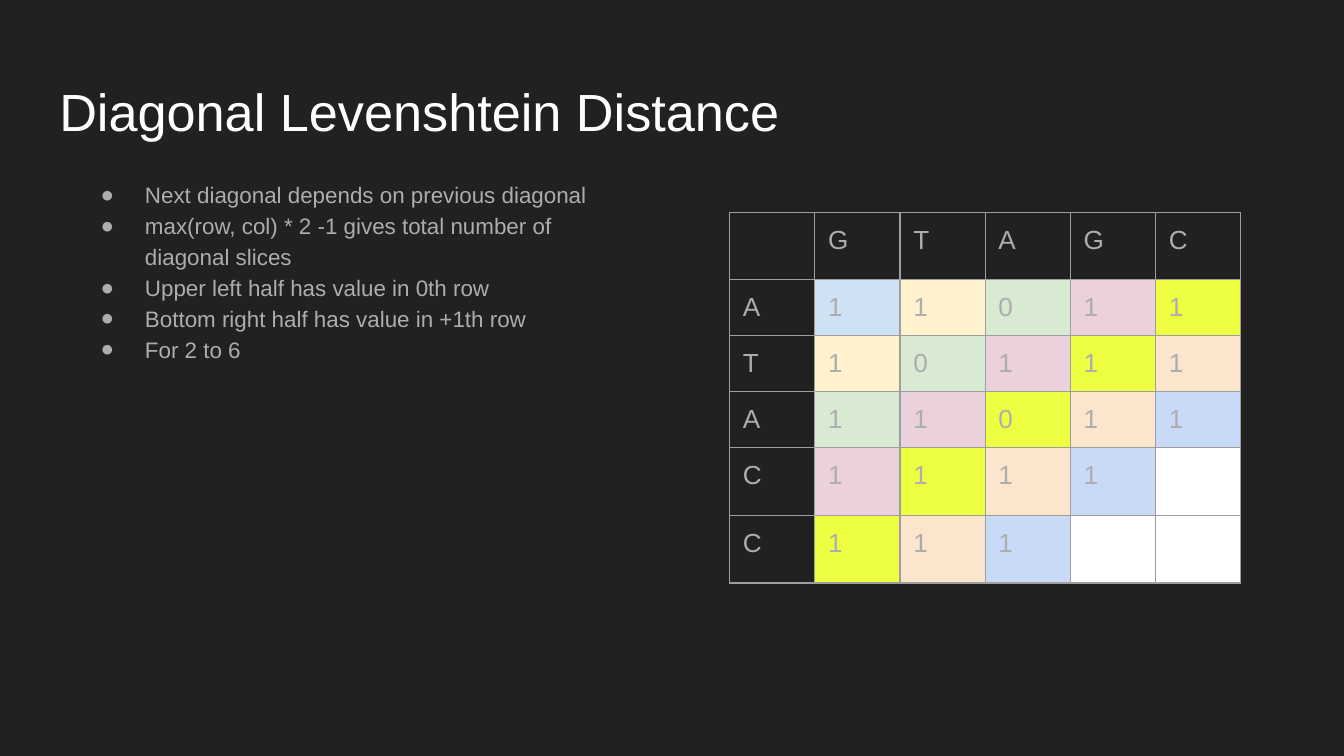
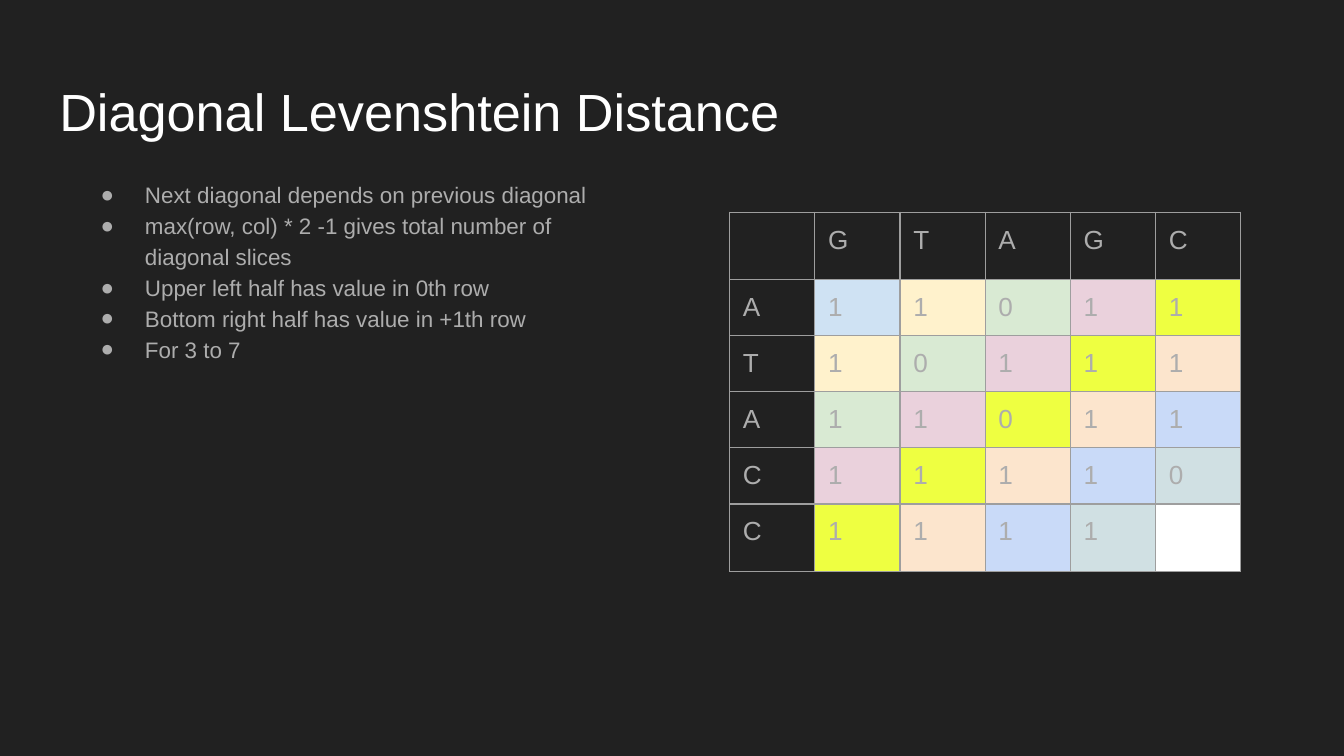
from lxml.etree import SubElement
from pptx import Presentation
from pptx.dml.color import RGBColor
from pptx.enum.text import MSO_ANCHOR, MSO_AUTO_SIZE, PP_ALIGN
from pptx.oxml.ns import qn
from pptx.util import Cm, Pt

COLORS = {
    "bg": "212121",
    "title": "FFFFFF",
    "text": "ADADAD",
    "border": "9E9E9E",
    "blank": "FFFFFF",
}
# One fill for each diagonal slice, from the upper left corner
DIAGONALS = ["CFE2F3", "FFF2CC", "D9EAD3", "EAD1DC", "EEFF41",
             "FCE5CD", "C9DAF8", "D0E0E3"]

TITLE = "Diagonal Levenshtein Distance"
POINTS = [
    "Next diagonal depends on previous diagonal",
    "max(row, col) * 2 -1 gives total number of diagonal slices",
    "Upper left half has value in 0th row",
    "Bottom right half has value in +1th row",
]
COL_WORD, ROW_WORD = "GTAGC", "ATACC"

INSET = Cm(0.25)
FRAME = {"word_wrap": True, "auto_size": MSO_AUTO_SIZE.NONE,
         "vertical_anchor": MSO_ANCHOR.TOP}
MARGINS = {f"margin_{side}": INSET
           for side in ("left", "right", "top", "bottom")}
TITLE_BOX = {"left": Cm(0.87), "top": Cm(1.24),
             "width": Cm(23.67), "height": Cm(1.59)}
BODY_BOX = {"left": Cm(1.22), "top": Cm(3.1),
            "width": Cm(10.87), "height": Cm(10.13)}
TITLE_PARA = {"alignment": PP_ALIGN.LEFT, "line_spacing": 1.0}
BODY_PARA = {"alignment": PP_ALIGN.LEFT, "line_spacing": 1.15,
             "space_before": Pt(0), "space_after": Pt(0)}


def set_attrs(obj, *formats):
    for values in formats:
        for name, value in values.items():
            setattr(obj, name, value)


def set_font(font, size, color):
    set_attrs(font, {"name": "Arial", "size": Pt(size), "bold": False})
    font.color.rgb = RGBColor.from_string(COLORS[color])


def add_color(parent, color):
    SubElement(parent, qn("a:srgbClr"), val=COLORS[color])


def add_bullet(p):
    pPr = p._p.get_or_add_pPr()
    pPr.set("marL", str(Cm(1.27)))
    pPr.set("indent", str(-Cm(0.84)))
    add_color(SubElement(pPr, qn("a:buClr")), "text")
    SubElement(pPr, qn("a:buFont"), typeface="Arial")
    SubElement(pPr, qn("a:buChar"), char="●")


def add_borders(cell):
    tcPr = cell._tc.get_or_add_tcPr()
    for side in ("lnL", "lnR", "lnT", "lnB"):
        ln = SubElement(tcPr, qn(f"a:{side}"), w=str(Pt(0.75)))
        add_color(SubElement(ln, qn("a:solidFill")), "border")


def fill_title(s):
    sp = s.shapes.title
    set_attrs(sp, TITLE_BOX)
    tf = sp.text_frame
    set_attrs(tf, FRAME, MARGINS)
    p = tf.paragraphs[0]
    set_attrs(p, TITLE_PARA)
    r = p.add_run()
    r.text = TITLE
    set_font(r.font, 28, "title")


def fill_bullets(s, points):
    sp = s.placeholders[1]
    set_attrs(sp, BODY_BOX)
    tf = sp.text_frame
    set_attrs(tf, FRAME, MARGINS)
    for i, point in enumerate(points):
        p = tf.add_paragraph() if i else tf.paragraphs[0]
        add_bullet(p)
        set_attrs(p, BODY_PARA)
        r = p.add_run()
        r.text = point
        set_font(r.font, 12, "text")


def fill_cell(cell, text, color=None):
    set_attrs(cell, MARGINS)
    add_borders(cell)
    if color:
        cell.fill.solid()
        cell.fill.fore_color.rgb = RGBColor.from_string(color)
    else:
        cell.fill.background()
    if text:
        r = cell.text_frame.paragraphs[0].add_run()
        r.text = text
        set_font(r.font, 14, "text")


def add_matrix(s, shown):
    """Draw the cost matrix with its first `shown` diagonals filled in."""
    rows, cols = len(ROW_WORD) + 1, len(COL_WORD) + 1
    tbl = s.shapes.add_table(rows, cols, Cm(13.79), Cm(4.01),
                             cols * Cm(1.61), rows * Cm(1.06)).table
    set_attrs(tbl, {"first_row": False, "horz_banding": False})
    # Header row and column
    fill_cell(tbl.cell(0, 0), "")
    for j, letter in enumerate(COL_WORD, 1):
        fill_cell(tbl.cell(0, j), letter)
    for i, letter in enumerate(ROW_WORD, 1):
        fill_cell(tbl.cell(i, 0), letter)
        # Cost is 0 where the letters match, 1 elsewhere
        for j, other in enumerate(COL_WORD, 1):
            diagonal = i + j - 2
            if diagonal < shown:
                fill_cell(tbl.cell(i, j), str(int(letter != other)),
                          DIAGONALS[diagonal])
            else:
                fill_cell(tbl.cell(i, j), "", COLORS["blank"])


def add_step(prs, span, shown):
    s = prs.slides.add_slide(prs.slide_layouts[1])
    fill_title(s)
    fill_bullets(s, POINTS + [span])
    add_matrix(s, shown)


def main():
    prs = Presentation()
    set_attrs(prs, {"slide_width": Cm(25.4), "slide_height": Cm(14.29)})
    # Shared dark background
    fill = prs.slide_master.background.fill
    fill.solid()
    fill.fore_color.rgb = RGBColor.from_string(COLORS["bg"])
    add_step(prs, "For 2 to 6", 7)
    add_step(prs, "For 3 to 7", 8)
    prs.save("out.pptx")


if __name__ == "__main__":
    main()
